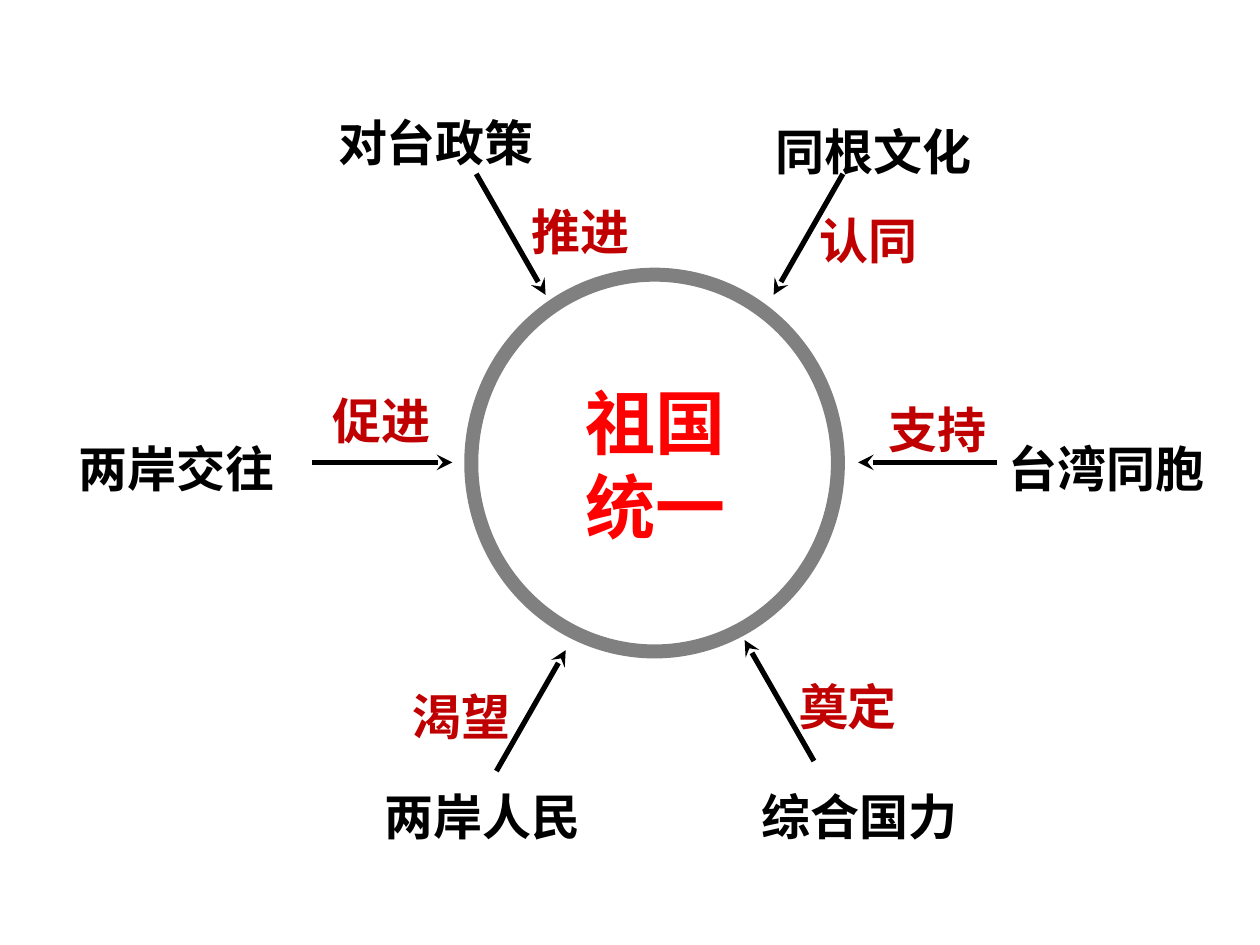
"""Build a slide showing six forces that converge on a central circle."""
from typing import NamedTuple

import pptx
import pptx.dml.color
import pptx.enum.shapes
import pptx.enum.text
import pptx.oxml.ns
import pptx.shapes.connector
import pptx.slide
import pptx.util
from lxml import etree
from pptx.util import Inches

BLACK = pptx.dml.color.RGBColor(0x00, 0x00, 0x00)
GRAY = pptx.dml.color.RGBColor(0x80, 0x80, 0x80)
DARK_RED = pptx.dml.color.RGBColor(0xC0, 0x00, 0x00)
RED = pptx.dml.color.RGBColor(0xFF, 0x00, 0x00)
LABEL_FONT = "Noto Sans CJK SC"
CENTER_FONT = "Arial"
LABEL_HEIGHT = 0.57
NAME_WIDTH = 1.9
ACTION_WIDTH = 1.26


class Point(NamedTuple):
    x: float
    y: float


class Force(NamedTuple):
    name: str
    name_corner: Point
    action: str
    action_corner: Point
    arrow_start: Point
    arrow_end: Point


FORCES = [
    Force("对台政策", Point(2.51, 0.84), "推进", Point(3.98, 1.55), Point(3.78, 1.38), Point(4.33, 2.34)),
    Force("同根文化", Point(5.98, 0.91), "认同", Point(6.26, 1.62), Point(6.69, 1.38), Point(6.14, 2.34)),
    Force("两岸交往", Point(0.45, 3.43), "促进", Point(2.4, 3.05), Point(2.48, 3.67), Point(3.59, 3.67)),
    Force("台湾同胞", Point(7.83, 3.43), "支持", Point(6.81, 3.12), Point(7.91, 3.67), Point(6.81, 3.67)),
    Force("两岸人民", Point(2.88, 6.19), "渴望", Point(3.03, 5.4), Point(3.94, 6.12), Point(4.49, 5.16)),
    Force("综合国力", Point(5.87, 6.19), "奠定", Point(6.1, 5.32), Point(6.46, 6.04), Point(5.91, 5.08)),
]


def add_label(
    slide: pptx.slide.Slide,
    text: str,
    corner: Point,
    width: float,
    color: pptx.dml.color.RGBColor,
    height: float = LABEL_HEIGHT,
    size: int = 28,
    font_name: str = LABEL_FONT,
) -> None:
    shape = slide.shapes.add_textbox(Inches(corner.x), Inches(corner.y), Inches(width), Inches(height))
    text_frame = shape.text_frame
    text_frame.word_wrap = True
    text_frame.vertical_anchor = pptx.enum.text.MSO_ANCHOR.MIDDLE
    text_frame.text = text
    paragraph = text_frame.paragraphs[0]
    paragraph.alignment = pptx.enum.text.PP_ALIGN.CENTER
    font = paragraph.runs[0].font
    font.name = font_name
    font.size = pptx.util.Pt(size)
    font.bold = True
    font.color.rgb = color
    properties = paragraph.runs[0]._r.get_or_add_rPr()
    etree.SubElement(properties, pptx.oxml.ns.qn("a:ea"), typeface=font_name)


def add_arrow(slide: pptx.slide.Slide, start: Point, end: Point) -> pptx.shapes.connector.Connector:
    arrow = slide.shapes.add_connector(
        pptx.enum.shapes.MSO_CONNECTOR.STRAIGHT,
        Inches(start.x), Inches(start.y), Inches(end.x), Inches(end.y),
    )
    arrow.line.color.rgb = BLACK
    arrow.line.width = pptx.util.Pt(3)
    line = arrow.line._get_or_add_ln()
    etree.SubElement(line, pptx.oxml.ns.qn("a:tailEnd"), type="stealth", w="med", len="med")
    etree.SubElement(arrow._element.spPr, pptx.oxml.ns.qn("a:effectLst"))
    return arrow


def add_circle(slide: pptx.slide.Slide) -> None:
    circle = slide.shapes.add_shape(
        pptx.enum.shapes.MSO_SHAPE.OVAL, Inches(3.74), Inches(2.18), Inches(2.91), Inches(2.99)
    )
    circle.shadow.inherit = False
    circle.fill.background()
    circle.line.color.rgb = GRAY
    circle.line.width = pptx.util.Pt(8)


def main() -> None:
    presentation = pptx.Presentation()
    presentation.slide_width = Inches(10)
    presentation.slide_height = Inches(7.5)
    slide = presentation.slides.add_slide(presentation.slide_layouts[6])
    add_circle(slide)
    add_label(slide, "祖国统一", Point(4.45, 2.96), 1.5, RED, height=1.44, size=40, font_name=CENTER_FONT)
    for force in FORCES:
        add_arrow(slide, force.arrow_start, force.arrow_end)
        add_label(slide, force.name, force.name_corner, NAME_WIDTH, BLACK)
        add_label(slide, force.action, force.action_corner, ACTION_WIDTH, DARK_RED)
    presentation.save("out.pptx")


if __name__ == "__main__":
    main()
